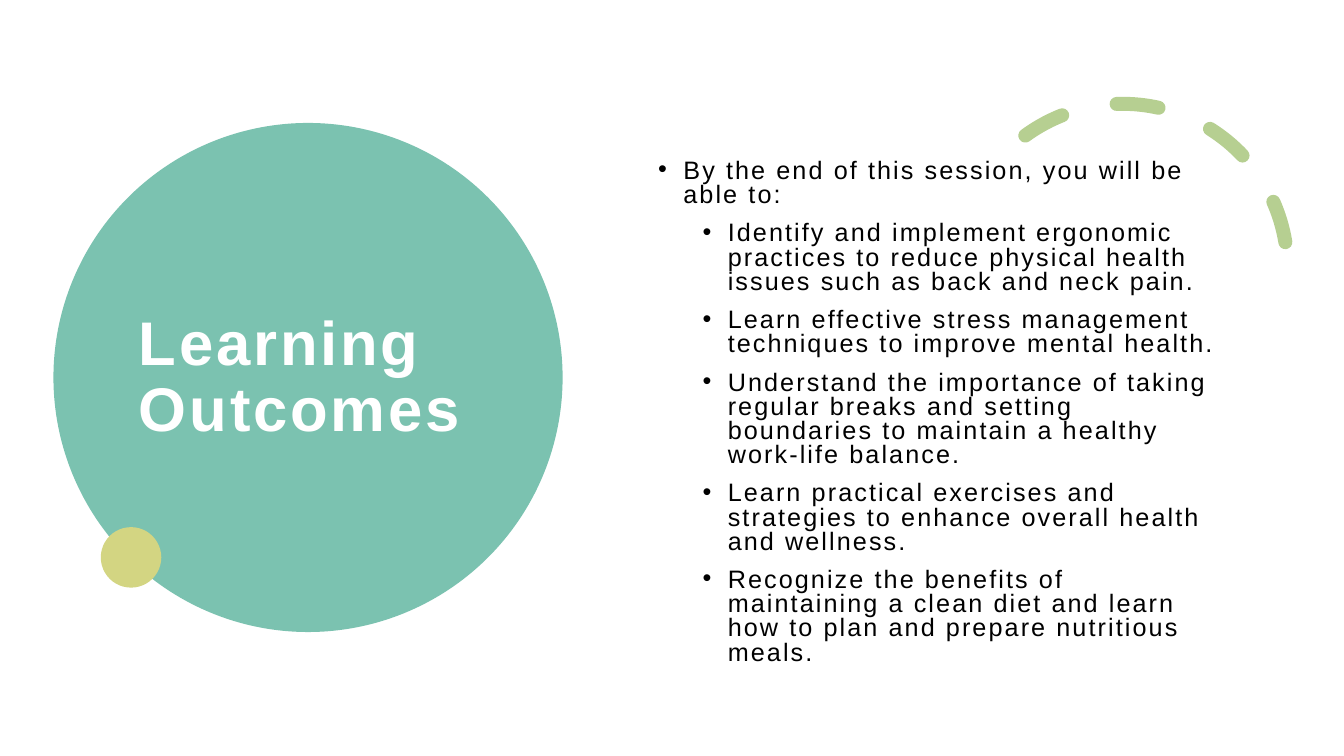
"""Build the Learning Outcomes slide."""
import pptx
import pptx.dml.color
import pptx.enum.dml
import pptx.enum.shapes
import pptx.enum.text
import pptx.oxml
import pptx.oxml.ns
import pptx.util

Inches = pptx.util.Inches
Pt = pptx.util.Pt
SHAPE = pptx.enum.shapes.MSO_SHAPE

TITLE = "Learning Outcomes"
INTRO = "By the end of this session, you will be able to:"
OUTCOMES = [
    "Identify and implement ergonomic practices to reduce physical health issues such as back and neck pain.",
    "Learn effective stress management techniques to improve mental health.",
    "Understand the importance of taking regular breaks and setting boundaries to maintain a healthy work-life balance.",
    "Learn practical exercises and strategies to enhance overall health and wellness.",
    "Recognize the benefits of maintaining a clean diet and learn how to plan and prepare nutritious meals.",
]
THEME = {
    "font": "Arial",
    "background": "FFFFFF",
    "circle": "7BC2B0",
    "dot": "D3D582",
    "arc": "B6CF91",
    "title": {"size": 44, "color": "FFFFFF", "bold": True, "tracking": 200},
    "body": {"size": 18, "color": "000000", "bold": False, "tracking": 150},
}
CIRCLES = [("circle", 0.53, 1.22, 5.05), ("dot", 1, 5.23, 0.6)]
ARC = {"left": 9.5, "top": 1.03, "size": 3.27, "rotation": 330.2, "angles": (158.17, 17.81)}
TITLE_BOX = (1.28, 1.53, 3.54, 4.45)
BODY_BOX = (5.87, 1.54, 6.3, 5.63)
INDENTS = {1: 0.81, 2: 1.25}
HANGING = 0.25


def rgb(value):
    return pptx.dml.color.RGBColor.from_string(value)


def add_circle(slide, name, left, top, size):
    circle = slide.shapes.add_shape(SHAPE.OVAL, *map(Inches, (left, top, size, size)))
    circle.shadow.inherit = False
    circle.fill.solid()
    circle.fill.fore_color.rgb = rgb(THEME[name])
    circle.line.fill.background()


def add_dashed_arc(slide):
    size = ARC["size"]
    arc = slide.shapes.add_shape(SHAPE.ARC, *map(Inches, (ARC["left"], ARC["top"], size, size)))
    for index, angle in enumerate(ARC["angles"]):
        arc.adjustments[index] = angle
    arc.rotation = ARC["rotation"]
    arc.shadow.inherit = False
    arc.fill.background()
    arc.line.color.rgb = rgb(THEME["arc"])
    arc.line.width = Pt(10)
    arc.line.dash_style = pptx.enum.dml.MSO_LINE.DASH
    arc.line._get_or_add_ln().set("cap", "rnd")


def add_text_box(slide, place, anchor):
    frame = slide.shapes.add_textbox(*map(Inches, place)).text_frame
    frame.word_wrap = True
    frame.vertical_anchor = anchor
    return frame


def add_span(para, text, style):
    span = para.add_run()
    span.text = text
    values = {"name": THEME["font"], "size": Pt(style["size"]), "bold": style["bold"]}
    for name, value in values.items():
        setattr(span.font, name, value)
    span.font.color.rgb = rgb(style["color"])
    span._r.get_or_add_rPr().set("spc", str(style["tracking"]))


def add_bullet(para, level):
    para.level = level
    properties = para._p.get_or_add_pPr()
    properties.set("marL", str(Inches(INDENTS[level])))
    properties.set("indent", str(-Inches(HANGING)))
    namespaces = pptx.oxml.ns.nsdecls("a")
    for markup in (f'<a:buFont {namespaces} typeface="Arial"/>', f'<a:buChar {namespaces} char="•"/>'):
        properties.append(pptx.oxml.parse_xml(markup))


def main():
    deck = pptx.Presentation()
    deck.slide_width, deck.slide_height = Inches(13.33), Inches(7.5)
    slide = deck.slides.add_slide(deck.slide_layouts[6])
    slide.background.fill.solid()
    slide.background.fill.fore_color.rgb = rgb(THEME["background"])

    add_circle(slide, *CIRCLES[0])
    heading = add_text_box(slide, TITLE_BOX, pptx.enum.text.MSO_ANCHOR.MIDDLE).paragraphs[0]
    heading.line_spacing = 0.9
    add_span(heading, TITLE, THEME["title"])
    add_dashed_arc(slide)
    add_circle(slide, *CIRCLES[1])

    body = add_text_box(slide, BODY_BOX, pptx.enum.text.MSO_ANCHOR.TOP)
    lines = [(1, INTRO)] + [(2, outcome) for outcome in OUTCOMES]
    for index, (level, text) in enumerate(lines):
        para = body.add_paragraph() if index else body.paragraphs[0]
        para.line_spacing = 0.8
        para.space_after = Pt(10)
        add_bullet(para, level)
        add_span(para, text, THEME["body"])

    deck.save("out.pptx")


if __name__ == "__main__":
    main()
